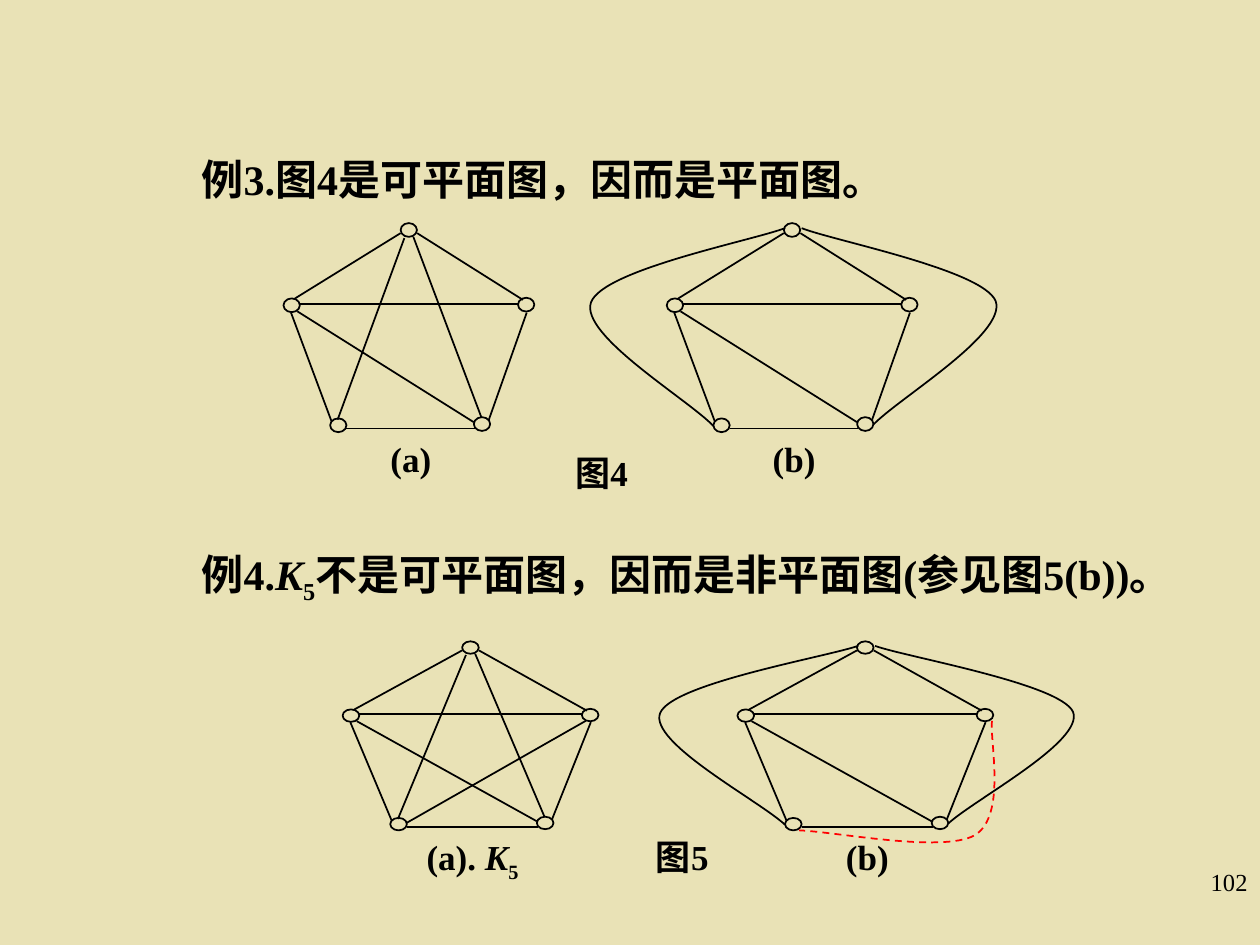
from lxml import etree
from pptx import Presentation
from pptx.dml.color import RGBColor
from pptx.enum import dml, shapes, text
from pptx.oxml.ns import qn
from pptx.util import Pt

INK, RED, PAPER = "000000", "FF0000", "E9E2B6"
FONT = "Times New Roman"

# Graph geometry in percent of the graph's box.
NODE_SIZE = (6.5, 6.6)
NODES = [(46.7, 0), (0, 36), (93.5, 35.7), (18.6, 93.4), (75.9, 92.8)]
RIM = [
    (46.7, 4.8, 4.5, 36.1),
    (53.3, 4.8, 95.5, 36.7),
    (97, 42.8, 81.9, 94),
    (25.1, 98.2, 76.4, 98.2),
    (3, 42.8, 19.1, 94.6),
]
CHORDS = [(6.5, 38.6, 93.5, 38.6), (5.5, 42.2, 75.9, 95.2)]
TOP_CHORDS = [(48.2, 7.2, 21.6, 94), (51.8, 6.6, 78.9, 92.8)]
LAST_CHORD = [(25.1, 96, 95.1, 42)]
OUTER_ARCS = [
    [(53.8, 2.4), (66.3, 8.4), (126.1, 22.3), (131.2, 37.3),
     (135.7, 53), (92.5, 83.7), (82.4, 96.4)],
    [(47.2, 2.4), (34.2, 8.4), (-25.6, 22.3), (-30.2, 38),
     (-34.7, 53.6), (8.5, 84.3), (18.6, 97)],
]
CROSSING_ARC = [(99.5, 42), (98.5, 52), (105.4, 92.7), (92.6, 102.7),
                (79.8, 112), (38.4, 100.7), (24.1, 100)]


def rgb(value):
    """Turn a hex string into a colour."""
    return RGBColor.from_string(value)


def write(p, runs, size, bold=True):
    """Add (text, style) runs to a paragraph; style is '', 'i' or 'sub'."""
    for content, style in runs:
        r = p.add_run()
        r.text = content
        f = r.font
        f.name, f.size, f.bold, f.italic = FONT, Pt(size), bold, style == "i"
        f.color.rgb = rgb(INK)
        if style == "sub":
            r._r.get_or_add_rPr().set("baseline", "-25000")


def label(parent, x, y, w, runs):
    """Place a centred figure label."""
    tf = parent.add_textbox(Pt(x), Pt(y), Pt(w), Pt(24)).text_frame
    tf.word_wrap = True
    tf.margin_left = tf.margin_top = tf.margin_right = tf.margin_bottom = 0
    tf.paragraphs[0].alignment = text.PP_ALIGN.CENTER
    write(tf.paragraphs[0], runs, 20)


def stroke(sp, color=INK):
    """Give a shape or connector a one point line."""
    sp.line.color.rgb = rgb(color)
    sp.line.width = Pt(1)


def arc(parent, points, color=INK):
    """Draw a chain of cubic curves through the given points."""
    fb = parent.build_freeform(*points[0])
    fb.add_line_segments(points[1:], close=False)
    sp = fb.convert_to_shape()
    sp.shadow.inherit = False
    sp.fill.background()
    stroke(sp, color)
    path = next(sp._element.iter(qn("a:path")))
    path.set("fill", "none")
    segments = path.findall(qn("a:lnTo"))
    for i in range(0, len(segments), 3):
        curve = etree.SubElement(path, qn("a:cubicBezTo"))
        for segment in segments[i:i + 3]:
            curve.append(segment[0])
            path.remove(segment)
    return sp


def graph(parent, box, edges, caption, outer=False, crossing=False):
    """Draw a five-node graph with its label inside the given box."""
    x, y, w, h = box

    def at(px, py):
        return Pt(x + w * px / 100), Pt(y + h * py / 100)

    for node in NODES:
        sp = parent.add_shape(shapes.MSO_SHAPE.OVAL, *at(*node),
                              Pt(w * NODE_SIZE[0] / 100), Pt(h * NODE_SIZE[1] / 100))
        sp.shadow.inherit = False
        sp.fill.background()
        stroke(sp)
    for x1, y1, x2, y2 in edges:
        c = parent.add_connector(shapes.MSO_CONNECTOR.STRAIGHT, *at(x1, y1), *at(x2, y2))
        etree.SubElement(c._element.spPr, qn("a:effectLst"))
        stroke(c)
    for points in OUTER_ARCS if outer else []:
        arc(parent, [at(*point) for point in points])
    if crossing:
        sp = arc(parent, [at(*point) for point in CROSSING_ARC], RED)
        sp.line.dash_style = dml.MSO_LINE.DASH
    label(parent, x + w * 0.24, y + h + 3, w * 0.535, caption)


def figure(s, box, second_x, first, second, caption, caption_at):
    """Group two graphs of equal size with their shared caption."""
    x, y, w, h = box
    parent = s.shapes.add_group_shape().shapes
    graph(parent, box, **first)
    graph(parent, (second_x, y, w, h), outer=True, **second)
    label(parent, *caption_at, 80, [(caption, "")])


def examples(s, box):
    """Fill the body placeholder with the two examples."""
    sp = s.placeholders[1]
    sp.left, sp.top, sp.width, sp.height = map(Pt, box)
    tf = sp.text_frame
    tf.auto_size = text.MSO_AUTO_SIZE.NONE
    lines = [
        ([("例3.图4是可平面图，因而是平面图。", "")], 0),
        ([("例4.", ""), ("K", "i"), ("5", "sub"),
          ("不是可平面图，因而是非平面图(参见图5(b))。", "")], 197),
    ]
    for i, (runs, gap) in enumerate(lines):
        p = tf.paragraphs[0] if i == 0 else tf.add_paragraph()
        pPr = p._p.get_or_add_pPr()
        pPr.set("marL", "0")
        pPr.set("indent", "0")
        etree.SubElement(pPr, qn("a:buNone"))
        p.space_before = Pt(gap)
        write(p, runs, 24)


def page_number(s, box):
    """Place the page number at the lower right."""
    tf = s.shapes.add_textbox(*map(Pt, box)).text_frame
    tf.word_wrap = True
    tf.paragraphs[0].alignment = text.PP_ALIGN.RIGHT
    write(tf.paragraphs[0], [("102", "")], 14, bold=False)


def main():
    """Build the slide and save it."""
    prs = Presentation()
    prs.slide_width, prs.slide_height = Pt(720), Pt(540)
    s = prs.slides.add_slide(prs.slide_layouts[1])
    s.background.fill.solid()
    s.background.fill.fore_color.rgb = rgb(PAPER)
    title = s.shapes.title._element
    title.getparent().remove(title)

    page_number(s, (570, 492, 150, 36))
    examples(s, (108, 84, 600, 432))
    planar = RIM + CHORDS
    figure(s, (162, 127.5, 143.3, 119.5), 381,
           dict(edges=planar + TOP_CHORDS, caption=[("(a)", "")]),
           dict(edges=planar, caption=[("(b)", "")]),
           "图4", (303.8, 257.8))
    figure(s, (195.8, 366.5, 146.2, 108), 421.4,
           dict(edges=planar + TOP_CHORDS + LAST_CHORD,
                caption=[("(a).", ""), (" K", "i"), ("5", "sub")]),
           dict(edges=planar, caption=[("(b)", "")], crossing=True),
           "图5", (349.9, 477.4))
    prs.save("out.pptx")


if __name__ == "__main__":
    main()
